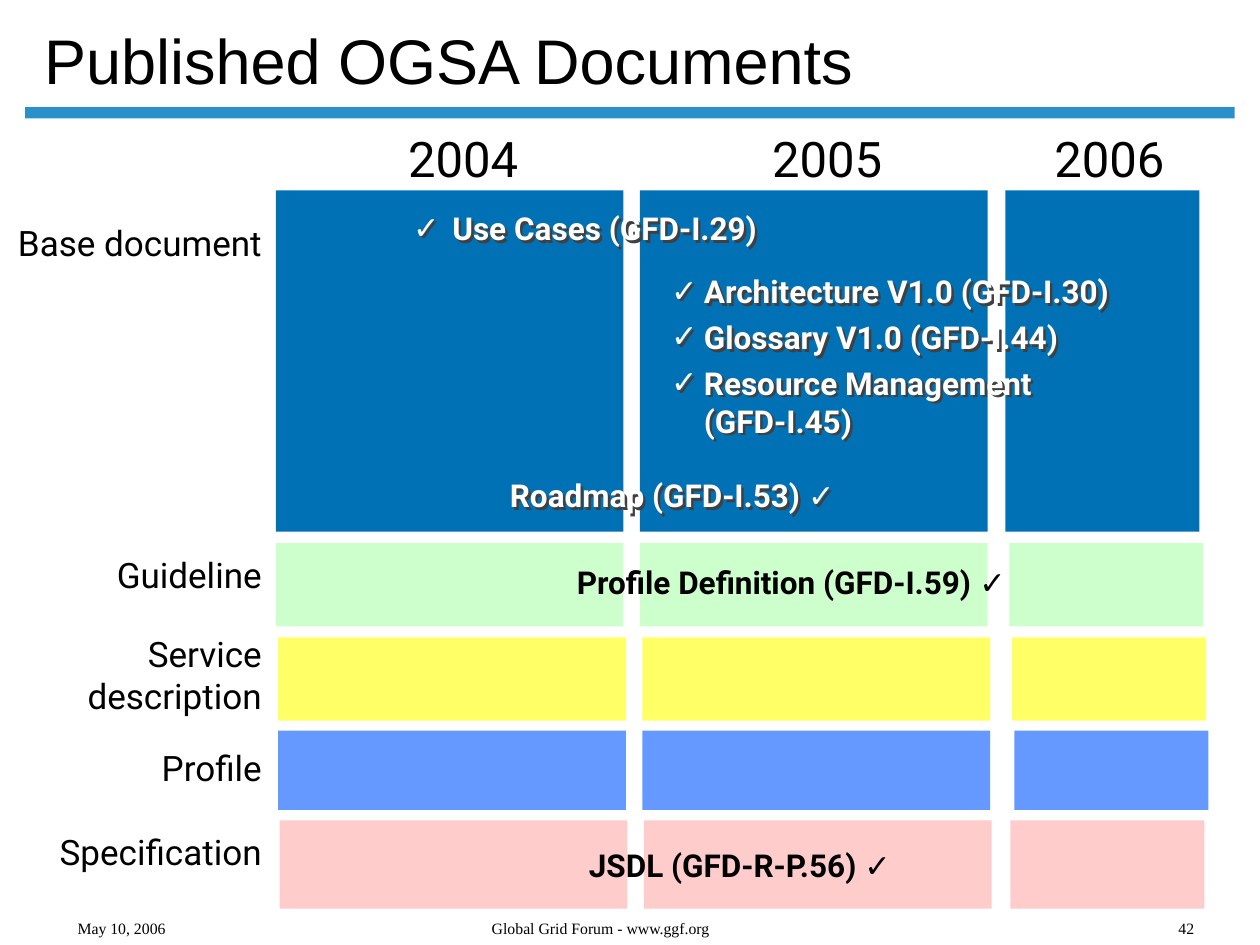
from dataclasses import dataclass

from lxml import etree
from pptx import Presentation
from pptx import util as u
from pptx.dml.color import RGBColor
from pptx.enum import shapes, text
from pptx.oxml.ns import qn

LEFT, CENTER, RIGHT = text.PP_ALIGN.LEFT, text.PP_ALIGN.CENTER, text.PP_ALIGN.RIGHT
TOP, BOTTOM = text.MSO_ANCHOR.TOP, text.MSO_ANCHOR.BOTTOM
FIT, FIXED = text.MSO_AUTO_SIZE.SHAPE_TO_FIT_TEXT, text.MSO_AUTO_SIZE.NONE
CHECK = "✓"


@dataclass
class Theme:
    """Colours, fonts and type sizes of the slide."""
    ink: str = "000000"
    white: str = "FFFFFF"
    shadow: str = "404040"
    bar: str = "2990CA"
    base: str = "0071B5"
    guideline: str = "CCFFCC"
    service: str = "FFFF66"
    profile: str = "6699FF"
    specification: str = "FFCCCC"
    sans: str = "Roboto"
    plain: str = "Arial"
    serif: str = "Times New Roman"
    title: int = 36
    year: int = 28
    label: int = 20
    item: int = 18
    footer: int = 9


def put(obj, values):
    """Set every attribute in values on obj."""
    for name, value in values.items():
        setattr(obj, name, value)


def box(*cm):
    """Turn left, top, width and height in centimetres into a placement."""
    return dict(zip(("left", "top", "width", "height"), map(u.Cm, cm)))


class Deck:
    """Holds the theme and the current slide, and draws each kind of element."""

    def __init__(self, prs, theme):
        self.theme = theme
        self.s = prs.slides.add_slide(prs.slide_layouts[1])

    def rect(self, color, *cm):
        """Draw a plain filled rectangle."""
        sp = self.s.shapes.add_shape(shapes.MSO_SHAPE.RECTANGLE, **box(*cm))
        sp.shadow.inherit = False
        sp.fill.solid()
        sp.fill.fore_color.rgb = RGBColor.from_string(color)
        sp.line.fill.background()

    def frame(self, sp, insets=(0.25, 0.13), wrap=True, grow=FIXED, anchor=TOP):
        """Set up the text frame of a shape."""
        x, y = map(u.Cm, insets)
        tf = sp.text_frame
        put(tf, dict(word_wrap=wrap, auto_size=grow, vertical_anchor=anchor,
                     margin_left=x, margin_right=x, margin_top=y, margin_bottom=y))
        return tf

    def style(self, r, size, font, color, bold=False):
        """Format a run."""
        put(r.font, dict(size=u.Pt(size), name=font, bold=bold))
        r.font.color.rgb = RGBColor.from_string(color)

    def text_shadow(self, sp):
        """Give an unfilled shape a shadow, which falls from its text."""
        sp.fill.background()
        sp.shadow.inherit = False
        fx = sp.element.spPr.find(qn("a:effectLst"))
        sh = etree.SubElement(fx, qn("a:outerShdw"), dist=str(u.Pt(2)), dir="2700000",
                              algn="ctr", rotWithShape="0")
        etree.SubElement(sh, qn("a:srgbClr"), val=self.theme.shadow)

    def bullet(self, p, indent):
        """Give a paragraph a check mark with a hanging indent."""
        pPr = p._p.get_or_add_pPr()
        pPr.set("marL", str(u.Cm(indent)))
        pPr.set("indent", str(-u.Cm(indent)))
        clr = etree.SubElement(pPr, qn("a:buClr"))
        etree.SubElement(clr, qn("a:srgbClr"), val=self.theme.white)
        etree.SubElement(pPr, qn("a:buFont"), typeface=self.theme.plain)
        etree.SubElement(pPr, qn("a:buChar"), char=CHECK)

    def title(self, words, *cm):
        """Fill the title placeholder."""
        sp = self.s.shapes.title
        put(sp, box(*cm))
        p = self.frame(sp, anchor=BOTTOM).paragraphs[0]
        put(p, dict(text=words, alignment=LEFT, line_spacing=0.9))
        self.style(p.runs[0], self.theme.title, self.theme.plain, self.theme.ink)

    def checklist(self, items, *cm):
        """Fill the body placeholder with checked items, in front of the grid."""
        sp = self.s.placeholders[1]
        put(sp, box(*cm))
        sp.element.getparent().append(sp.element)
        self.text_shadow(sp)
        tf = self.frame(sp, wrap=False)
        for i, words in enumerate(items):
            p = tf.add_paragraph() if i else tf.paragraphs[0]
            self.bullet(p, 0.66)
            put(p, dict(text=words, alignment=LEFT, space_before=u.Pt(4.5 if i else 0)))
            for r in p.runs:
                self.style(r, self.theme.item, self.theme.sans, self.theme.white, True)

    def label(self, words, cm, size, font, align, **frame):
        """Write one line or label in a text box."""
        sp = self.s.shapes.add_textbox(**box(*cm))
        p = self.frame(sp, **frame).paragraphs[0]
        put(p, dict(text=words, alignment=align))
        self.style(p.runs[0], size, font, self.theme.ink)

    def document(self, words, cm, color, align=LEFT, lead=False):
        """Write a document name with its check mark before or after it."""
        sp = self.s.shapes.add_textbox(**box(*cm))
        if color == self.theme.white:
            self.text_shadow(sp)
        p = self.frame(sp, wrap=False, grow=FIT).paragraphs[0]
        runs = [(words + " ", self.theme.sans), (CHECK, self.theme.plain)]
        if lead:
            self.bullet(p, 0.79)
            runs = [(words, self.theme.sans)]
        p.alignment = align
        for part, font in runs:
            r = p.add_run()
            r.text = part
            self.style(r, self.theme.item, font, color, True)


def main():
    """Build the slide and save it."""
    prs = Presentation()
    put(prs, dict(slide_width=u.Cm(25.4), slide_height=u.Cm(19.05)))
    t = Theme()
    deck = Deck(prs, t)
    deck.rect(t.bar, 0.51, 2.16, 24.38, 0.23)
    deck.title("Published OGSA Documents", 0.64, 0.33, 21.74, 1.78)

    rows = [
        ("Base document", t.base, 3.84, 6.88, 5.56, 20.27, (4.47, 5.28, 0.85)),
        ("Guideline", t.guideline, 10.95, 1.68, 5.56, 20.35, (11.15, 4.9, 0.85)),
        ("Service description", t.service, 12.85, 1.68, 5.61, 20.4, (12.75, 4.9, 1.7)),
        ("Profile", t.profile, 14.73, 1.6, 5.61, 20.45, (15.04, 2.46, 0.85)),
        ("Specification", t.specification, 16.54, 1.78, 5.64, 20.37, (16.74, 4.42, 0.85)),
    ]
    label_right, wide, narrow, pitch = 5.28, 7.01, 3.91, 7.34
    for name, color, top, height, first, last, (y, w, h) in rows:
        for x, width in ((first, wide), (first + pitch, wide), (last, narrow)):
            deck.rect(color, x, top, width, height)
        deck.label(name, (label_right - w, y, w, h), t.label, t.sans, RIGHT,
                   insets=(0, 0), grow=FIT)

    for year, x in (("2004", 7.95), ("2005", 15.29), ("2006", 20.98)):
        deck.label(year, (x, 2.59, 2.77, 1.19), t.year, t.sans, CENTER,
                   insets=(0.25, 0), wrap=False, grow=FIT)

    deck.checklist(["Architecture V1.0 (GFD-I.30)", "Glossary V1.0 (GFD-I.44)",
                    "Resource Management \v(GFD-I.45)"], 13.28, 5.36, 10.49, 3.81)
    deck.document("Use Cases (GFD-I.29)", (8.08, 4.09, 7.65, 1.02), t.white, lead=True)
    deck.document("Roadmap (GFD-I.53)", (10.03, 9.47, 7.44, 1.02), t.white)
    deck.document("JSDL (GFD-R-P.56)", (11.21, 16.92, 7, 1.02), t.ink, RIGHT)
    deck.document("Profile Definition (GFD-I.59)", (11.38, 11.23, 10.01, 1.02), t.ink)

    for words, x, width in (("May 10, 2006", 0, 4.9),
                            ("Global Grid Forum - www.ggf.org", 5.92, 12.37),
                            ("42", 22.86, 2.11)):
        deck.label(words, (x, 18.42, width, 0.61), t.footer, t.serif, CENTER, anchor=BOTTOM)
    prs.save("out.pptx")


if __name__ == "__main__":
    main()
